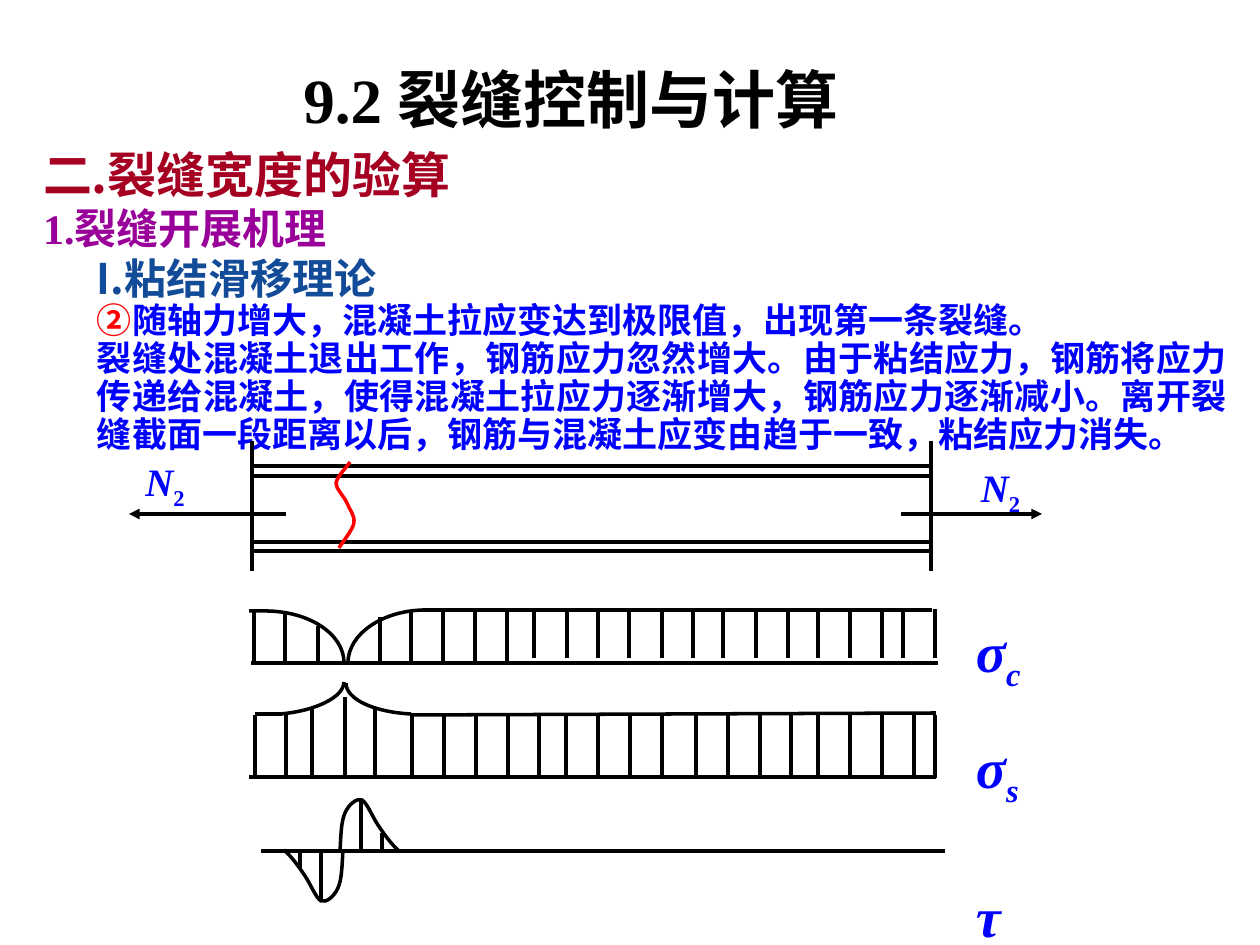
from lxml.etree import SubElement
from pptx import Presentation
from pptx.dml.color import RGBColor
from pptx.enum.shapes import MSO_CONNECTOR
from pptx.enum.text import MSO_ANCHOR, MSO_AUTO_SIZE, PP_ALIGN
from pptx.oxml.ns import qn
from pptx.util import Emu, Pt

PX = 914400 / 126
BLACK = RGBColor(0x00, 0x00, 0x00)
RED = RGBColor(0xFF, 0x00, 0x00)
BLUE = RGBColor(0x00, 0x00, 0xFF)
CRIMSON = RGBColor(0xA5, 0x00, 0x21)
PURPLE = RGBColor(0x99, 0x00, 0x99)
NAVY = RGBColor(0x12, 0x4B, 0x98)
TIMES, NOTO = "Times New Roman", "Noto Sans CJK SC"

# Text: each paragraph is (runs, paragraph format); each run is (text, size, font, colour, style)
TITLE = [([("9.2 裂缝控制与计算", 36, TIMES, BLACK, {}), (" ", 32, "DejaVu Sans", BLACK, {})],
          {"alignment": PP_ALIGN.CENTER})]
HEADINGS = [
    ([("二.裂缝宽度的验算", 28, NOTO, CRIMSON, {})], {}),
    ([("1.裂缝开展机理", 24, TIMES, PURPLE, {})], {}),
]
TIGHT = {"line_spacing": 0.9}
JUSTIFIED = {"line_spacing": 0.9, "alignment": PP_ALIGN.JUSTIFY}
THEORY = [
    ([("I.粘结滑移理论", 24, NOTO, NAVY, {})], TIGHT),
    ([("②", 20, TIMES, RED, {}),
      ("随轴力增大，混凝土拉应变达到极限值，出现第一条裂缝。", 20, TIMES, BLUE, {})], JUSTIFIED),
    ([("裂缝处混凝土退出工作，钢筋应力忽然增大。由于粘结应力，钢筋将应力传递给混凝土，"
       "使得混凝土拉应力逐渐增大，钢筋应力逐渐减小。离开裂缝截面一段距离以后，"
       "钢筋与混凝土应变由趋于一致，粘结应力消失。", 20, TIMES, BLUE, {})], JUSTIFIED),
]
ITALIC = {"italic": True}
FORCE = [([("N", 22.2, TIMES, BLUE, ITALIC), ("2", 22.2, TIMES, BLUE, {"sub": True})],
          {"line_spacing": 0.8, "alignment": PP_ALIGN.CENTER})]
SUB = {"italic": True, "sub": True}
STRESSES = [
    ([("σ", 32, TIMES, BLUE, ITALIC), ("c", 32, TIMES, BLUE, SUB)], TIGHT),
    ([("σ", 32, TIMES, BLUE, ITALIC), ("s", 32, TIMES, BLUE, SUB)],
     {**TIGHT, "space_before": Pt(27)}),
    ([("τ", 32, TIMES, BLUE, ITALIC)], {**TIGHT, "space_before": Pt(50)}),
]
TEXT_BOXES = [  # left, top, width, height, insets (left, top, right, bottom), paragraphs
    (30, 138, 548, 122, (13, 6, 13, 6), HEADINGS),
    (84, 252, 1156, 209, (13, 6, 13, 6), THEORY),
    (84, 457, 162, 58, (13, 6, 13, 6), FORCE),
    (924, 463, 153, 58, (13, 6, 13, 6), FORCE),
    (976, 612, 189, 301, (0, 5, 5, 5), STRESSES),
]

# Beam, axes and plateaus: x1, y1, x2, y2
BEAM = [(251, 542, 930, 542), (253, 551, 932, 551), (251, 476, 930, 476), (253, 466, 932, 466)]
BEAM += [(x, 441, x, 571) for x in (252, 931)]
FORCE_ARROWS = [(901, 514, 1042, 514), (286, 514, 129, 514)]
AXES = [(251, 663, 938, 663), (249, 777, 936, 777), (261, 851, 945, 851)]
PLATEAUS = [(422, 610, 932, 610), (936, 713, 410, 715), (282, 714, 255, 714)]

# Hatching: bottom, top, x positions
HATCHING = [
    (662, 612, (254, 285, 411, 443, 475, 507)),
    (662, 626, (318,)),
    (662, 617, (380,)),
    (658, 609, (534, 567, 598, 629, 662, 693, 723, 756, 788, 818, 850, 882, 903, 935)),
    (778, 715, (255, 286, 412, 444, 476, 508, 539, 566, 598, 630, 662, 696, 728, 760,
                791, 818, 850, 882, 914, 935)),
    (778, 707, (312, 375)),
    (778, 697, (345,)),
    (851, 800, (361,)),
    (851, 833, (382,)),
    (901, 851, (321,)),
    (868, 851, (300,)),
]

# Bezier curves: a start point, then three points for each segment
BOND = [(340, 851), (341, 835), (341, 822), (345, 813), (349, 804), (357, 798), (362, 800),
        (367, 803), (372, 816), (378, 825), (384, 834), (391, 844), (399, 851)]
BOND_MIRRORED = [(683 - x, 1701 - y) for x, y in BOND]
CURVES = [
    ([(249, 611), (254, 611), (260, 611), (265, 611), (309, 611), (344, 634), (344, 663)], BLACK),
    ([(426, 610), (383, 610), (348, 634), (348, 663)], BLACK),
    ([(280, 714), (316, 711), (344, 697), (344, 682)], BLACK),
    ([(411, 714), (373, 712), (346, 699), (346, 683)], BLACK),
    (BOND, BLACK),
    (BOND_MIRRORED, BLACK),
    ([(339, 548), (341, 544), (353, 530), (354, 523), (355, 515), (349, 509), (347, 503),
      (343, 495), (336, 489), (336, 483), (338, 475), (348, 466), (350, 462)], RED),
]


def px(n):
    return Emu(round(n * PX))


def write(tf, paragraphs):
    tf.word_wrap = True
    tf.auto_size = MSO_AUTO_SIZE.NONE
    for i, (runs, fmt) in enumerate(paragraphs):
        p = tf.paragraphs[0] if i == 0 else tf.add_paragraph()
        for name, value in fmt.items():
            setattr(p, name, value)
        for text, size, face, colour, style in runs:
            r = p.add_run()
            r.text = text
            font = {"size": Pt(size), "name": face, "bold": True,
                    "italic": style.get("italic", False)}
            for name, value in font.items():
                setattr(r.font, name, value)
            r.font.color.rgb = colour
            rPr = r._r.get_or_add_rPr()
            SubElement(rPr, qn("a:ea")).set("typeface", NOTO)
            if style.get("sub"):
                rPr.set("baseline", "-25000")


def add_line(shapes, ends, arrow=False):
    s = shapes.add_connector(MSO_CONNECTOR.STRAIGHT, *map(px, ends))
    s.line.color.rgb = BLACK
    s.line.width = Pt(2)
    spPr = s._element.spPr
    if arrow:
        SubElement(spPr.find(qn("a:ln")), qn("a:tailEnd")).set("type", "triangle")
    SubElement(spPr, qn("a:effectLst"))


def add_curve(shapes, points, colour):
    start, *rest = [(px(x), px(y)) for x, y in points]
    builder = shapes.build_freeform(*start)
    builder.add_line_segments(rest, close=False)
    s = builder.convert_to_shape()
    # Turn every three straight segments into one cubic Bezier segment
    outline = next(s._element.iter(qn("a:path")))
    segments = outline.findall(qn("a:lnTo"))
    for i in range(0, len(segments), 3):
        bezier = SubElement(outline, qn("a:cubicBezTo"))
        for segment in segments[i:i + 3]:
            bezier.append(segment[0])
            outline.remove(segment)
    s.fill.background()
    s.line.color.rgb = colour
    s.line.width = Pt(2)
    s.shadow.inherit = False


def main():
    prs = Presentation()
    prs.slide_width, prs.slide_height = px(1260), px(945)
    slide = prs.slides.add_slide(prs.slide_layouts[5])
    shapes = slide.shapes

    # Title
    title = shapes.title
    title.left, title.top, title.width, title.height = map(px, (0, 59, 1155, 78))
    title.text_frame.vertical_anchor = MSO_ANCHOR.MIDDLE
    write(title.text_frame, TITLE)

    # Text boxes
    for *box, insets, paragraphs in TEXT_BOXES:
        tf = shapes.add_textbox(*map(px, box)).text_frame
        for side, inset in zip(("left", "top", "right", "bottom"), insets):
            setattr(tf, f"margin_{side}", px(inset))
        write(tf, paragraphs)

    # Beam and stress diagrams
    hatches = [(x, bottom, x, top) for bottom, top, xs in HATCHING for x in xs]
    for ends in BEAM + AXES + PLATEAUS + hatches:
        add_line(shapes, ends)
    for ends in FORCE_ARROWS:
        add_line(shapes, ends, arrow=True)
    for points, colour in CURVES:
        add_curve(shapes, points, colour)

    prs.save("out.pptx")


if __name__ == "__main__":
    main()
